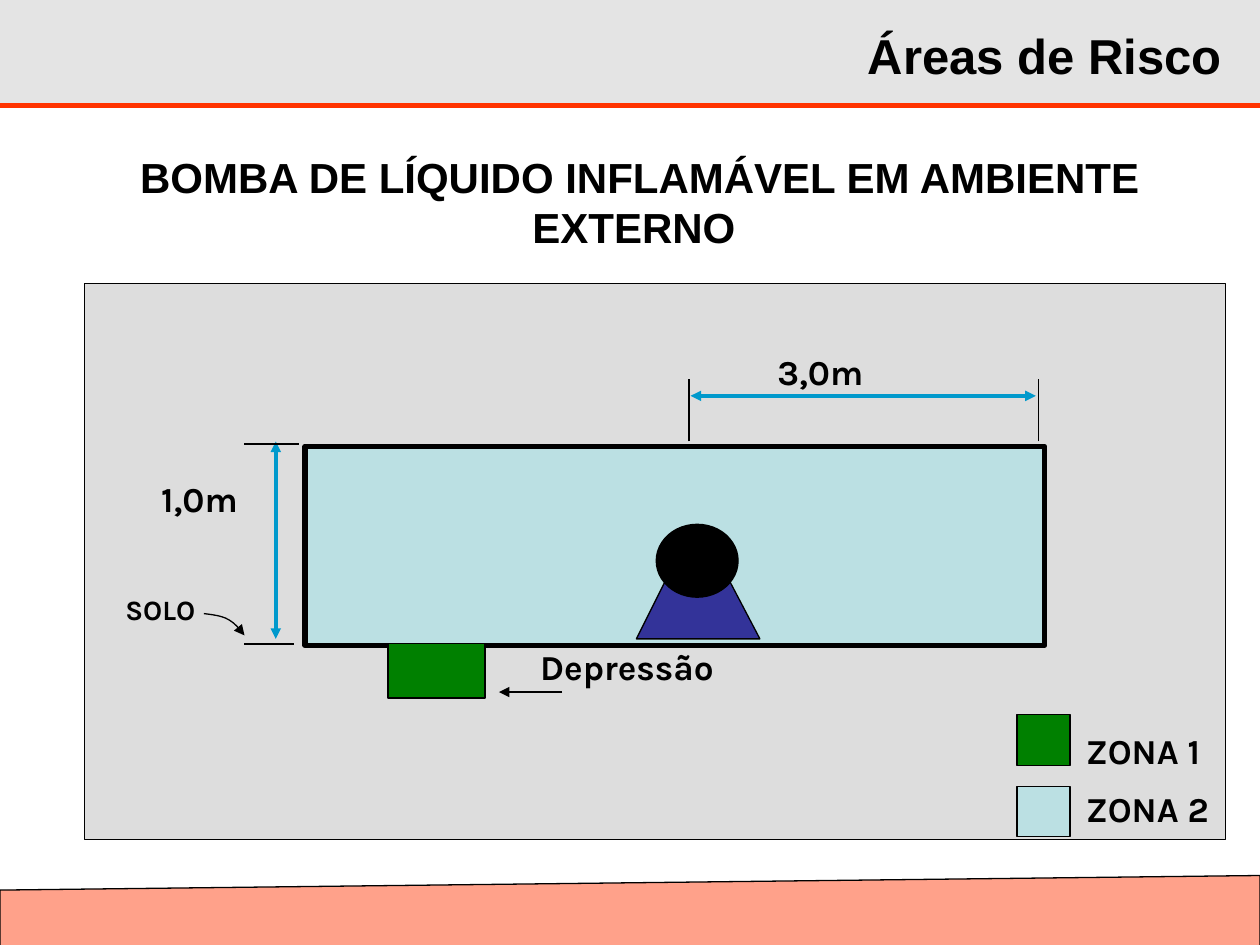
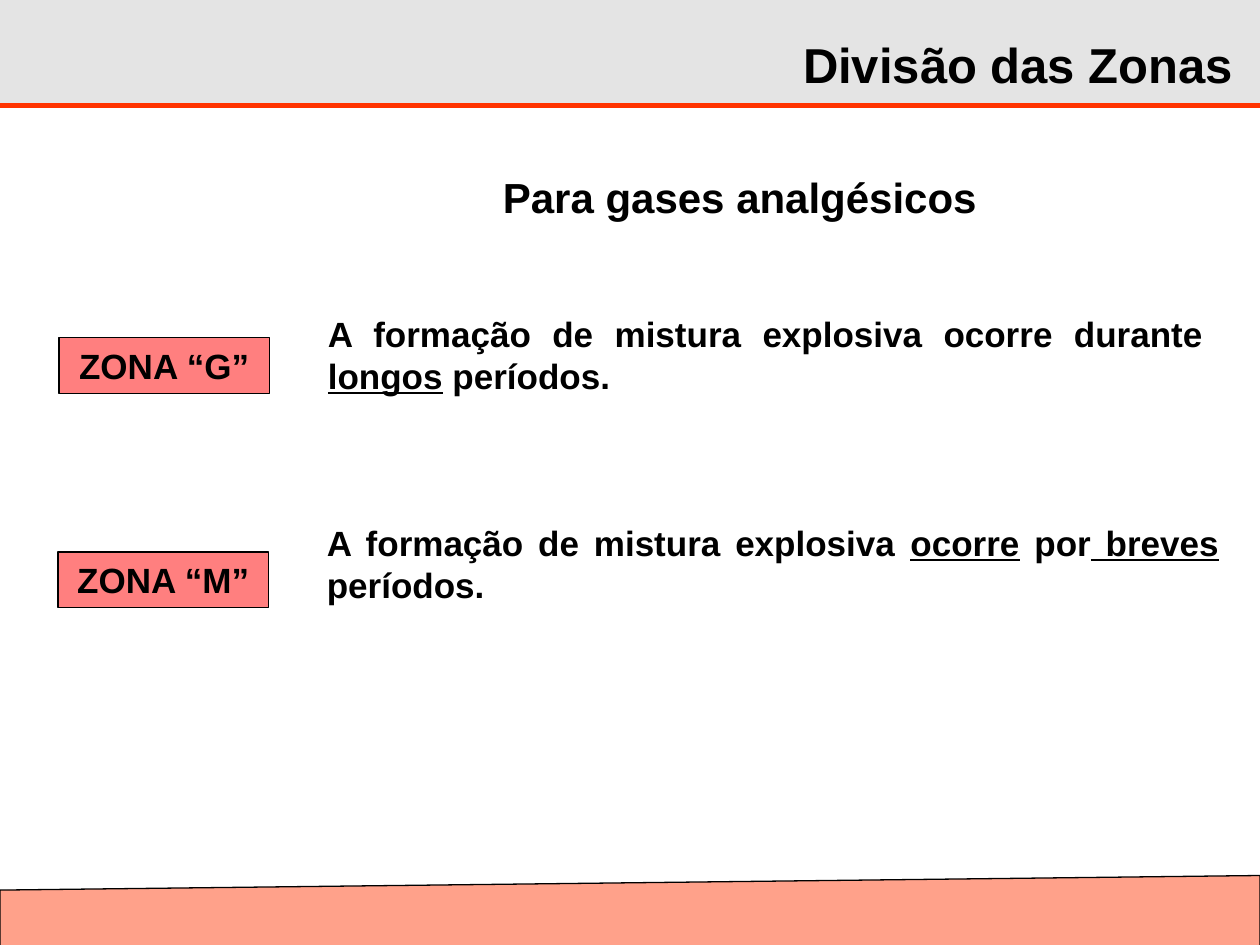
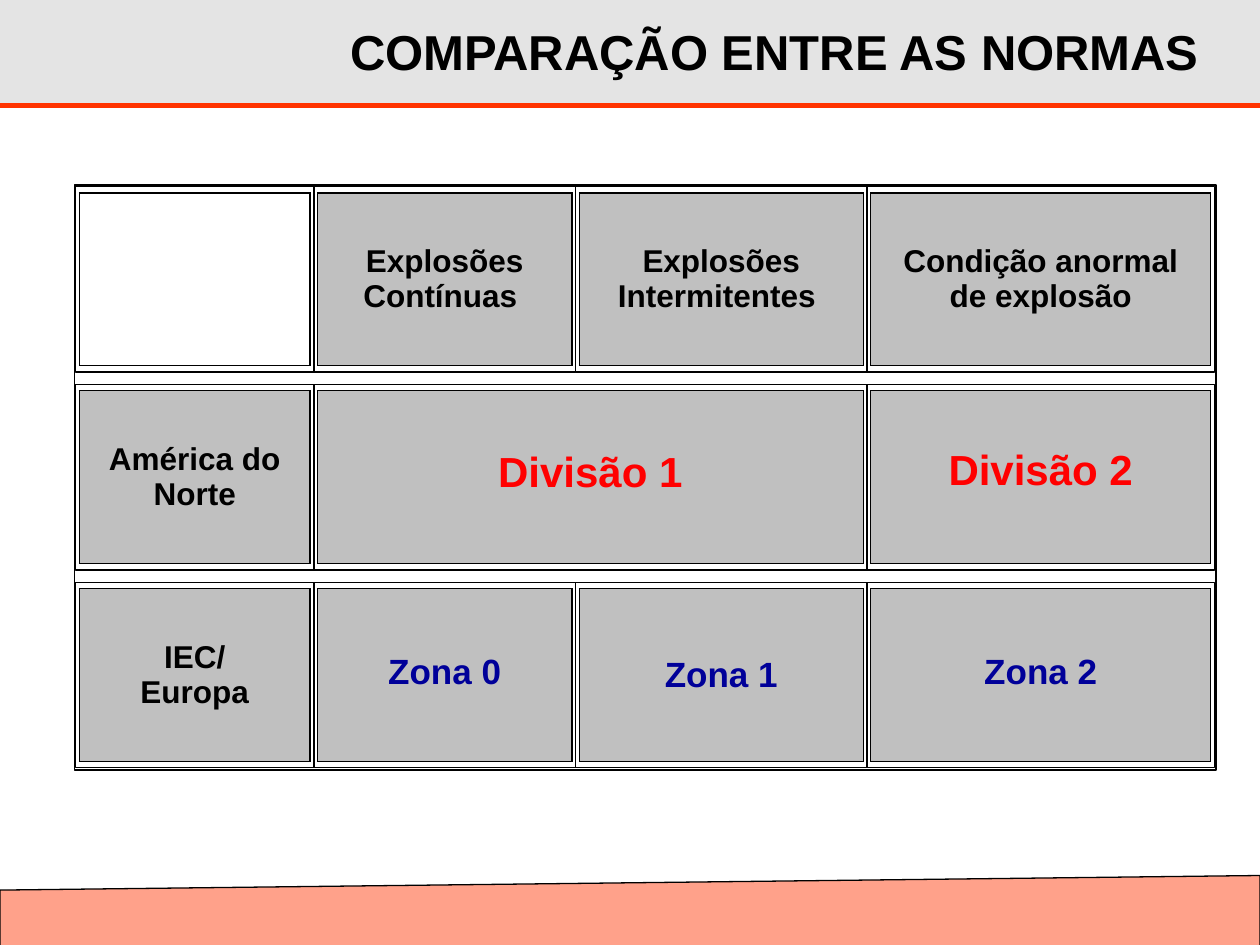
from lxml.etree import SubElement
from pptx import Presentation
from pptx.dml.color import RGBColor
from pptx.enum.shapes import MSO_CONNECTOR, MSO_SHAPE
from pptx.enum.text import MSO_ANCHOR, PP_ALIGN
from pptx.oxml import parse_xml
from pptx.oxml.ns import nsdecls, qn
from pptx.util import Cm, Pt

BLACK = RGBColor(0x00, 0x00, 0x00)
WHITE = RGBColor(0xFF, 0xFF, 0xFF)
SILVER = RGBColor(0xC0, 0xC0, 0xC0)
PALE = RGBColor(0xDD, 0xDD, 0xDD)
ORANGE = RGBColor(0xFF, 0x33, 0x00)
RED = RGBColor(0xFF, 0x00, 0x00)
GREEN = RGBColor(0x00, 0x80, 0x00)
AQUA = RGBColor(0xBB, 0xE0, 0xE3)
INDIGO = RGBColor(0x33, 0x33, 0x99)
CYAN = RGBColor(0x00, 0x99, 0xCC)
NAVY = RGBColor(0x00, 0x00, 0x99)

WIDTH = 25.4
HEAD = 2.13
PLAIN = "{2D5ABB26-0587-4C30-8999-92F81FD0307C}"  # table style without grid


# Shared helpers; boxes are (left, top, width, height) in cm
def paint(shape, fill=None, line=BLACK, width=0.75, alpha=None):
    shape.shadow.inherit = False
    if fill is None:
        shape.fill.background()
    else:
        shape.fill.solid()
        shape.fill.fore_color.rgb = fill
    if alpha:
        color = shape.element.spPr.find(qn("a:solidFill"))[0]
        SubElement(color, qn("a:alpha"), val=str(alpha * 1000))
    if line is None:
        shape.line.fill.background()
    else:
        shape.line.color.rgb = line
        shape.line.width = Pt(width)


def block(slide, box, fill=None, kind=MSO_SHAPE.RECTANGLE, **look):
    shape = slide.shapes.add_shape(kind, *map(Cm, box))
    paint(shape, fill, **look)
    return shape


def arrow(shape, ends):
    line = shape.element.spPr.find(qn("a:ln"))
    for end in ends:
        SubElement(line, qn(f"a:{end}End"), type="triangle")


def rule(slide, start, end, color=BLACK, width=0.75, ends=()):
    line = slide.shapes.add_connector(
        MSO_CONNECTOR.STRAIGHT, *map(Cm, (*start, *end)))
    line.line.color.rgb = color
    line.line.width = Pt(width)
    arrow(line, ends)
    SubElement(line.element.spPr, qn("a:effectLst"))


def outline(slide, points, close=True):
    pen = slide.shapes.build_freeform(*map(Cm, points[0]))
    pen.add_line_segments([(Cm(x), Cm(y)) for x, y in points[1:]], close=close)
    return pen.convert_to_shape()


def style(frame, size, color=BLACK, align=PP_ALIGN.LEFT, font="Arial"):
    for para in frame.paragraphs:
        para.alignment = align
        for run in para.runs:
            run.font.name = font
            run.font.size = Pt(size)
            run.font.bold = True
            run.font.color.rgb = color


def label(slide, box, text, size=20, **look):
    frame = slide.shapes.add_textbox(*map(Cm, box)).text_frame
    frame.word_wrap = True
    frame.text = text
    style(frame, size, **look)
    return frame


# Header band, title and footer of every slide
def base(deck, title, box):
    slide = deck.slides.add_slide(deck.slide_layouts[6])
    block(slide, (0, 0, WIDTH, HEAD), SILVER, line=None, alpha=42)
    rule(slide, (0, HEAD), (WIDTH, HEAD), ORANGE, 3)
    block(slide, (0, 17.65, WIDTH, 1.47), ORANGE,
          MSO_SHAPE.FLOWCHART_MANUAL_INPUT, alpha=46)
    frame = label(slide, box, title, 28, align=PP_ALIGN.RIGHT)
    frame.vertical_anchor = MSO_ANCHOR.MIDDLE
    return slide


# Slide 1: the pump and its zones
def curve(a, b, c, d, steps=10):
    points = []
    for step in range(steps + 1):
        t = step / steps
        u = 1 - t
        points.append(tuple(
            u**3 * p + 3 * u * u * t * q + 3 * u * t * t * r + t**3 * s
            for p, q, r, s in zip(a, b, c, d)))
    return points


def legend(slide, left, top):
    for row, (name, color) in enumerate((("ZONA 1", GREEN), ("ZONA 2", AQUA))):
        block(slide, (left, top + 1.44 * row, 1.07, 1.02), color)
        label(slide, (left + 1.14, top + 0.17 + 1.17 * row, 3.76, 1.12),
              name, font="Karla")


def pump(slide, box):
    left, top = box[:2]

    def at(x, y):
        return left + x, top + y

    block(slide, box, PALE)
    block(slide, (*at(4.45, 3.28), 14.91, 4.01), AQUA, width=3)

    # Pump on its foot, and the pit
    foot = [at(11.13 + x, y) for x, y in
            ((0, 7.16), (0.61, 5.94), (1.85, 5.94), (2.49, 7.16))]
    paint(outline(slide, foot), INDIGO)
    block(slide, (*at(11.53, 4.85), 1.65, 1.47), BLACK, MSO_SHAPE.OVAL)
    block(slide, (*at(6.12, 7.26), 1.96, 1.09), GREEN)

    # Dimension lines and their limits
    both = ("head", "tail")
    rule(slide, at(12.22, 2.26), at(19.18, 2.26), CYAN, 2, both)
    rule(slide, at(3.86, 3.18), at(3.86, 7.16), CYAN, 2, both)
    for x in (12.19, 19.23):
        rule(slide, at(x, 3.18), at(x, 1.93))
    for x, y in ((4.32, 3.23), (4.22, 7.26)):
        rule(slide, at(x, y), at(3.21, y))

    # Pointers
    rule(slide, at(9.63, 8.23), at(8.36, 8.23), ends=("tail",))
    bend = outline(slide, curve(at(2.41, 6.65), at(2.77, 6.7),
                                at(2.95, 6.7), at(3.23, 7.09)), close=False)
    paint(bend)
    arrow(bend, ("tail",))

    # Labels
    for text, x, y, width, size in (
            ("3,0m", 13.72, 1.22, 3.3, 20), ("1,0m", 1.3, 3.78, 2.57, 20),
            ("Depressão", 8.94, 7.16, 9.65, 20), ("SOLO", 0.58, 6.1, 2.57, 16)):
        label(slide, (*at(x, y), width, 1.12), text, size, font="Karla")
    legend(slide, *at(18.8, 8.69))


def risk(deck):
    slide = base(deck, "Áreas de Risco", (16.37, 0.38, 8.5, 1.45))
    pump(slide, (1.7, 5.72, 23.01, 11.2))
    head = block(slide, (1.5, 2.92, 22.56, 2.29), WHITE, line=None, alpha=52)
    frame = head.text_frame
    frame.text = " BOMBA DE LÍQUIDO INFLAMÁVEL EM AMBIENTE EXTERNO"
    frame.vertical_anchor = MSO_ANCHOR.TOP
    style(frame, 24, align=PP_ALIGN.CENTER)


# Slide 2: a badge and the text of one zone
def zone(slide, box, drop, name, parts):
    left, top, width, height = box
    shift = 5.17
    frame = label(slide, (left + shift, top, width - shift, height), "")
    para = frame.paragraphs[0]
    for text, under in parts:
        run = para.add_run()
        run.text = text
        run.font.underline = under
    style(frame, 20, align=PP_ALIGN.JUSTIFY)

    badge = block(slide, (left, top + drop, 4.24, 1.12), RED, alpha=50)
    badge.text_frame.text = name
    style(badge.text_frame, 20, align=PP_ALIGN.CENTER)


def zones(deck):
    slide = base(deck, "Divisão das Zonas", (15.1, 0.56, 10, 1.45))
    label(slide, (6.71, 3.33, 16.41, 1.27), "Para gases analgésicos", 24,
          align=PP_ALIGN.CENTER)
    zone(slide, (1.19, 6.17, 23.32, 1.96), 0.64, "ZONA “G”",
         (("A formação de mistura explosiva ocorre durante ", False),
          ("longos", True), (" períodos.", False)))
    zone(slide, (1.17, 10.39, 23.65, 1.96), 0.74, "ZONA “M”",
         (("A formação de mistura explosiva ", False), ("ocorre", True),
          (" por", False), (" breves", True), (" períodos.", False)))


# Slide 3: table with narrow gap rows and columns between its cells
COLS = (4.65, 0.15, 5.13, 0.15, 5.72, 0.15, 6.86)
ROWS = (3.48, 0.51, 3.48, 0.51, 3.48)
# row, first column, last column, text, size, colour, lift in cm
CELLS = (
    (0, 0, 0, "", 18, BLACK, 0),
    (0, 2, 2, "Explosões Contínuas ", 18, BLACK, 0),
    (0, 4, 4, "Explosões Intermitentes ", 18, BLACK, 0),
    (0, 6, 6, "Condição anormal de explosão", 18, BLACK, 0),
    (2, 0, 0, "América do Norte", 18, BLACK, 0),
    (2, 2, 4, "Divisão 1", 24, RED, 0.17),
    (2, 6, 6, "Divisão 2", 24, RED, 0.24),
    (4, 0, 0, "IEC/\nEuropa", 18, BLACK, 0),
    (4, 2, 2, "Zona 0", 20, NAVY, 0.12),
    (4, 4, 4, "Zona 1", 20, NAVY, 0),
    (4, 6, 6, "Zona 2", 20, NAVY, 0.12),
)


def edge(cell):
    props = cell._tc.get_or_add_tcPr()
    for spot, side in enumerate("LRTB"):
        props.insert(spot, parse_xml(
            f'<a:ln{side} {nsdecls("a")} w="9525"><a:solidFill>'
            f'<a:srgbClr val="{BLACK}"/></a:solidFill></a:ln{side}>'))


def clear(cell):
    cell.fill.background()
    cell.margin_left = cell.margin_right = 0
    cell.margin_top = cell.margin_bottom = 0
    SubElement(cell.text_frame.paragraphs[0]._p, qn("a:endParaRPr"), sz="100")


def norms(slide, box):
    left, top = box[0] + 0.1, box[1] + 0.16

    # Frames around the cells
    block(slide, box, width=0.88)
    for row, first, last, *_ in CELLS:
        block(slide, (left + sum(COLS[:first]) - 0.08,
                      top + sum(ROWS[:row]) - 0.13,
                      sum(COLS[first:last + 1]) + 0.16, ROWS[row] + 0.26),
              width=0)

    table = slide.shapes.add_table(
        len(ROWS), len(COLS),
        *map(Cm, (left, top, sum(COLS), sum(ROWS)))).table
    table.first_row = table.horz_banding = False
    table._tbl.tblPr.find(qn("a:tableStyleId")).text = PLAIN
    for col, width in zip(table.columns, COLS):
        col.width = Cm(width)
    for row, height in zip(table.rows, ROWS):
        row.height = Cm(height)
    for cell in table.iter_cells():
        clear(cell)

    for row, first, last, text, size, color, lift in CELLS:
        for col in range(first, last + 1):
            edge(table.cell(row, col))
        cell = table.cell(row, first)
        if last > first:
            cell.merge(table.cell(row, last))
        if not text:
            continue
        cell.fill.solid()
        cell.fill.fore_color.rgb = SILVER
        cell.margin_left = cell.margin_right = Cm(0.25)
        cell.margin_bottom = Cm(lift)
        cell.vertical_anchor = MSO_ANCHOR.MIDDLE
        cell.text_frame.text = text
        style(cell.text_frame, size, color, PP_ALIGN.CENTER)


def compare(deck):
    slide = base(deck, "COMPARAÇÃO ENTRE AS NORMAS", (2.9, 0.33, 21.51, 1.4))
    norms(slide, (1.5, 3.73, 23.01, 11.79))


def main():
    deck = Presentation()
    deck.slide_width = Cm(WIDTH)
    deck.slide_height = Cm(19.05)
    risk(deck)
    zones(deck)
    compare(deck)
    deck.save("out.pptx")


if __name__ == "__main__":
    main()
